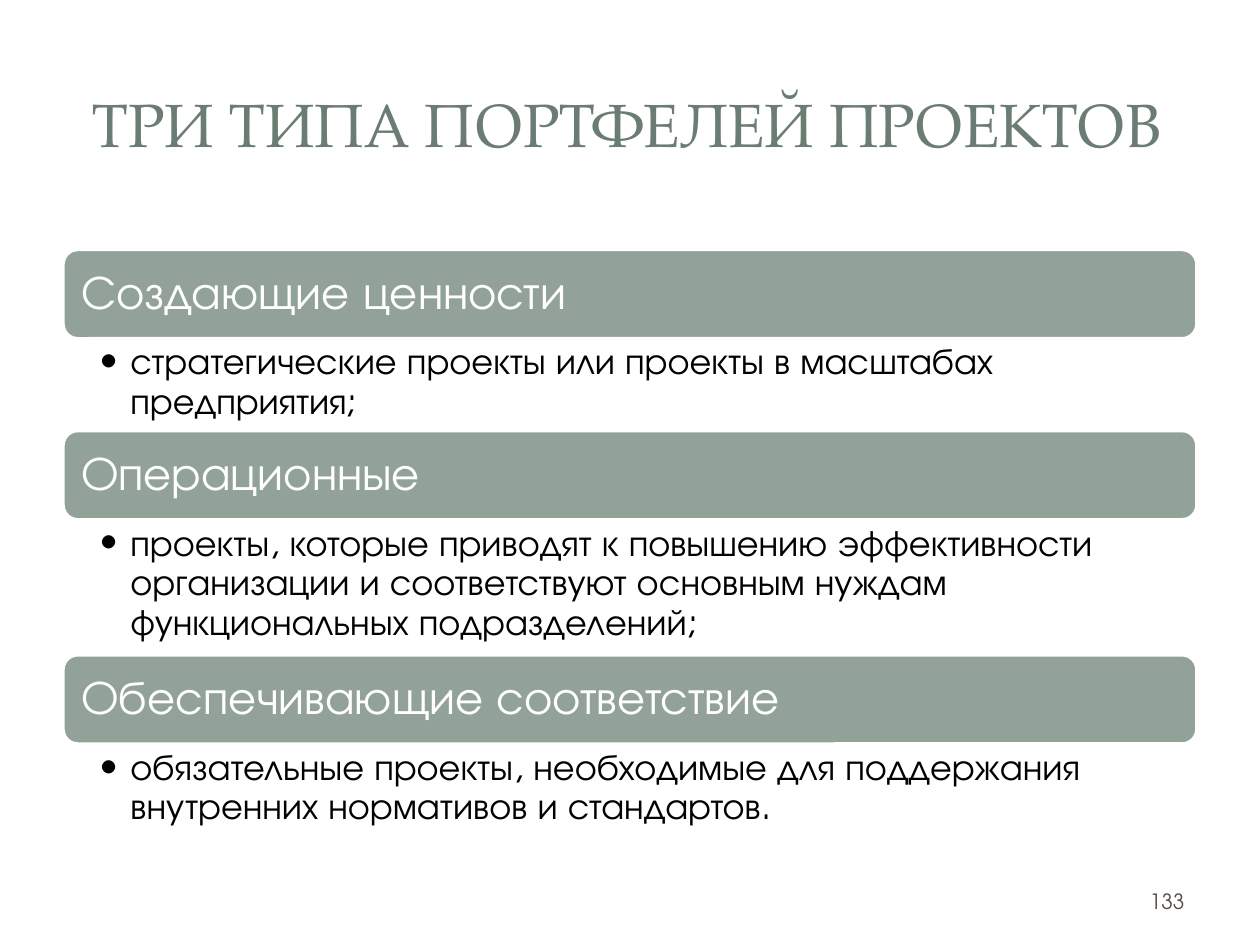
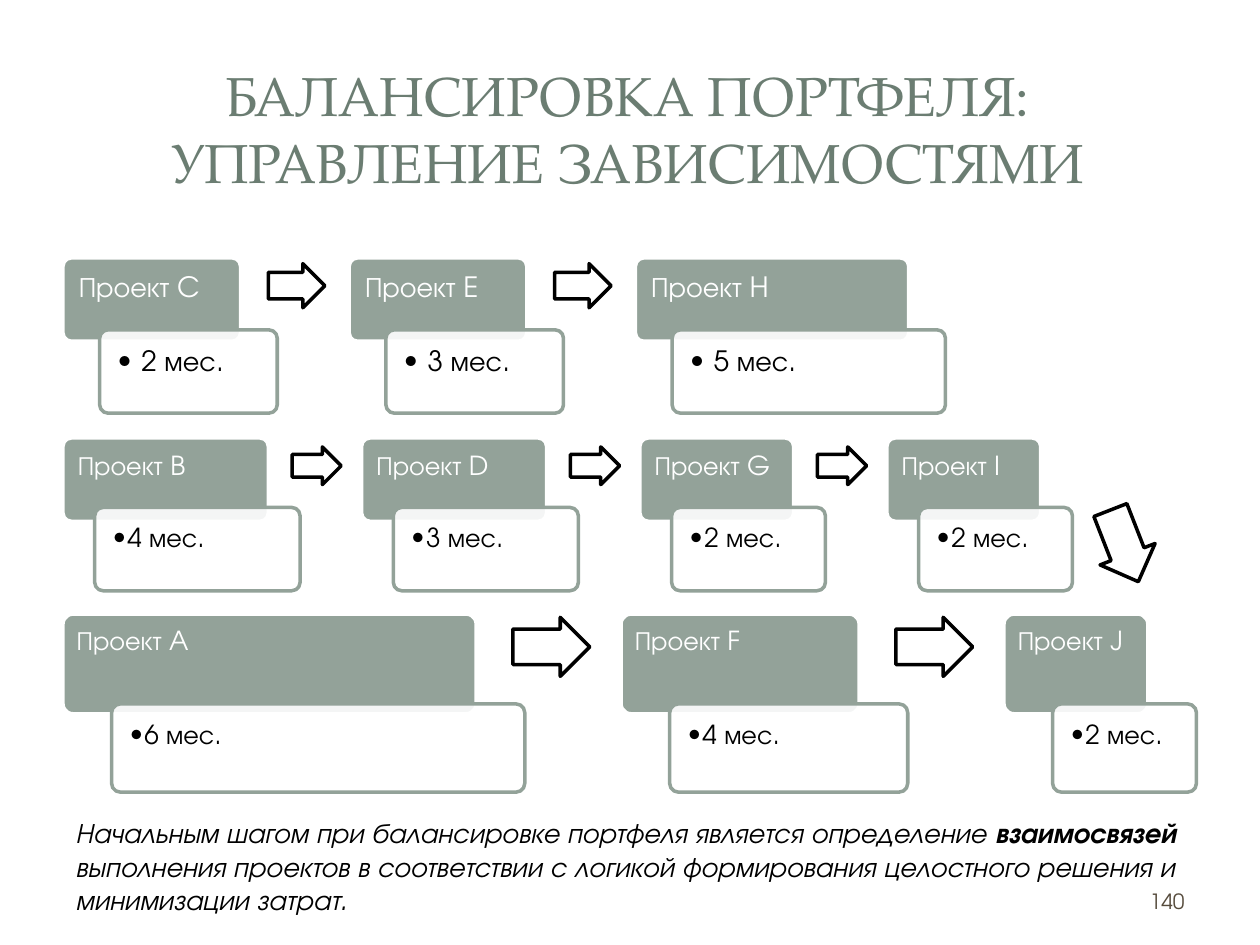
"""Build two slides on project portfolios: portfolio types and dependency balancing."""
import dataclasses

import lxml.etree
import pptx
import pptx.dml.color
import pptx.enum.shapes
import pptx.enum.text
import pptx.oxml.ns
import pptx.util

Cm = pptx.util.Cm
Pt = pptx.util.Pt
Shape = pptx.enum.shapes.MSO_SHAPE
Align = pptx.enum.text.PP_ALIGN
Anchor = pptx.enum.text.MSO_ANCHOR
qn = pptx.oxml.ns.qn


@dataclasses.dataclass(frozen=True)
class Theme:
    title_font: str = "TeX Gyre Pagella"
    body_font: str = "TeX Gyre Adventor"
    title: str = "6B7D72"
    sage: str = "93A299"
    white: str = "FFFFFF"
    black: str = "000000"
    page: str = "564B3C"
    category_size: float = 27
    description_size: float = 21
    conclusion_size: float = 16
    page_size: float = 12
    line: float = 2


THEME = Theme()
LEFT, WIDTH = 1.27, 22.86

BACKDROP = [
    (Shape.ROUNDED_RECTANGLE, (0.25, 0.28, 24.89, 18.52), (0.017,), None),
    (Shape.RECTANGLE, (0.76, 0.76, 23.88, 3.68), (), 83),
    (Shape.RECTANGLE, (1.04, 1.04, 23.29, 3.1), (), None),
]

TYPES = {
    "title": "ТРИ ТИПА ПОРТФЕЛЕЙ ПРОЕКТОВ", "title_size": 35, "title_height": 2.67, "page": "133",
    "top": 5.03, "category_height": 1.8,
    "categories": [
        ("Создающие ценности", "стратегические проекты или проекты в масштабах предприятия;", 1.85),
        ("Операционные", "проекты, которые приводят к повышению эффективности организации и "
         "соответствуют основным нуждам функциональных подразделений;", 2.72),
        ("Обеспечивающие соответствие", "обязательные проекты, необходимые для поддержания "
         "внутренних нормативов и стандартов.", 1.85),
    ],
}

BALANCING = {
    "title": "БАЛАНСИРОВКА ПОРТФЕЛЯ: УПРАВЛЕНИЕ ЗАВИСИМОСТЯМИ",
    "title_size": 31.5, "title_height": 2.88, "page": "140",
    "chains": [
        {"top": 5.2, "name_height": 1.68, "term_height": 1.68, "shift": (0.74, 1.45),
         "gap": 2.19, "arrow_gap": 0.56, "arrow": (1.14, 0.89), "label": 1.12,
         "size": 16, "inset": 0.27, "indent": 0.48,
         "projects": [("Проект C", "2 мес.", 3.58), ("Проект E", "3 мес.", 3.58),
                      ("Проект H", "5 мес.", 5.51)]},
        {"top": 8.83, "name_height": 1.68, "term_height": 1.68, "shift": (0.64, 1.4),
         "gap": 1.88, "arrow_gap": 0.48, "arrow": (0.99, 0.76), "label": 1.12,
         "size": 15, "inset": 0.25, "indent": 0.3,
         "projects": [("Проект B", "4 мес.", 4.14), ("Проект D", "3 мес.", 3.73),
                      ("Проект G", "2 мес.", 3.1), ("Проект I", "2 мес.", 3.1)]},
        {"top": 12.38, "name_height": 2.01, "term_height": 1.78, "shift": (0.98, 1.81),
         "gap": 2.92, "arrow_gap": 0.74, "arrow": (1.55, 1.19), "label": 1.32,
         "size": 15, "inset": 0.22, "indent": 0.3,
         "projects": [("Проект A", "6 мес.", 8.33), ("Проект F", "4 мес.", 4.8),
                      ("Проект J", "2 мес.", 2.9)]},
    ],
    "turn": (21.89, 10.41, 1.55, 1.19, 68.7),
    "conclusion": [
        ("Начальным шагом при балансировке портфеля является определение ", False),
        ("взаимосвязей", True),
        (" выполнения проектов в соответствии с логикой формирования целостного решения "
         "и минимизации затрат.", False),
    ],
}


def rgb(colour):
    return pptx.dml.color.RGBColor.from_string(colour)


def write(holder, runs, size, colour, font=THEME.body_font, align=Align.LEFT, anchor=Anchor.TOP,
          insets=(0.25, 0.13, 0.25, 0.13), spacing=None, indent=None, italic=False):
    frame = holder.text_frame
    frame.word_wrap = True
    frame.vertical_anchor = anchor
    frame.margin_left, frame.margin_top, frame.margin_right, frame.margin_bottom = map(Cm, insets)
    paragraph = frame.paragraphs[0]
    paragraph.alignment = align
    if spacing:
        paragraph.line_spacing = spacing
    if indent:
        properties = paragraph._p.get_or_add_pPr()
        properties.set("marL", str(Cm(indent)))
        properties.set("indent", str(-Cm(indent)))
        lxml.etree.SubElement(properties, qn("a:buFont")).set("typeface", font)
        lxml.etree.SubElement(properties, qn("a:buChar")).set("char", "•")
    for text, bold in runs:
        run = paragraph.add_run()
        run.text = text
        run.font.name = font
        run.font.size = Pt(size)
        run.font.bold = bold
        run.font.italic = italic
        run.font.color.rgb = rgb(colour)


def add_text(slide, box, runs, size, colour, **style):
    write(slide.shapes.add_textbox(*map(Cm, box)), runs, size, colour, **style)


def add_block(slide, kind, box, fill, line=None, adjustments=(), opacity=None):
    block = slide.shapes.add_shape(kind, *map(Cm, box))
    block.shadow.inherit = False
    block.fill.solid()
    block.fill.fore_color.rgb = rgb(fill)
    if line:
        block.line.color.rgb = rgb(line)
        block.line.width = Pt(THEME.line)
    else:
        block.line.fill.background()
    for index, value in enumerate(adjustments):
        block.adjustments[index] = value
    if opacity:
        colour = block._element.spPr.find(qn("a:solidFill"))[0]
        lxml.etree.SubElement(colour, qn("a:alpha")).set("val", str(opacity * 1000))
    return block


def add_arrow(slide, box, rotation=0):
    arrow = add_block(slide, Shape.RIGHT_ARROW, box, THEME.white, THEME.black, (0.6, 0.5))
    arrow.rotation = rotation


def add_slide(deck, content):
    slide = deck.slides.add_slide(deck.slide_layouts[6])
    for kind, box, adjustments, opacity in BACKDROP:
        add_block(slide, kind, box, THEME.white, adjustments=adjustments, opacity=opacity)
    add_text(slide, (1.18, 1.14, 22.94, content["title_height"]), [(content["title"], False)],
             content["title_size"], THEME.title, font=THEME.title_font,
             align=Align.CENTER, anchor=Anchor.MIDDLE)
    add_text(slide, (18.21, 17.65, 5.92, 1.02), [(content["page"], False)],
             THEME.page_size, THEME.page, align=Align.RIGHT, anchor=Anchor.MIDDLE)
    return slide


def add_types(deck, content):
    slide = add_slide(deck, content)
    top, height = content["top"], content["category_height"]
    for category, description, description_height in content["categories"]:
        band = add_block(slide, Shape.ROUNDED_RECTANGLE, (LEFT, top, WIDTH, height),
                         THEME.sage, THEME.white)
        write(band, [(category, False)], THEME.category_size, THEME.white,
              anchor=Anchor.MIDDLE, insets=(0.28,) * 4, spacing=0.9)
        add_text(slide, (LEFT, top + height, WIDTH, description_height), [(description, False)],
                 THEME.description_size, THEME.black, insets=(0.73, 0.09, 0.53, 0.09),
                 spacing=0.9, indent=0.63)
        top += height + description_height


def add_chain(slide, chain):
    left, top = LEFT, chain["top"]
    shift_x, shift_y = chain["shift"]
    arrow_width, arrow_height = chain["arrow"]
    for position, (project, term, width) in enumerate(chain["projects"], 1):
        name = add_block(slide, Shape.ROUNDED_RECTANGLE, (left, top, width, chain["name_height"]),
                         THEME.sage, THEME.white, (0.1,))
        write(name, [(project, False)], chain["size"], THEME.white,
              insets=(chain["inset"],) * 4, spacing=0.9)
        duration = add_block(slide, Shape.ROUNDED_RECTANGLE,
                             (left + shift_x, top + shift_y, width, chain["term_height"]),
                             THEME.white, THEME.sage, (0.1,), opacity=90)
        write(duration, [(term, False)], chain["size"], THEME.black,
              insets=(0.31,) * 4, spacing=0.9, indent=chain["indent"])
        if position < len(chain["projects"]):
            add_arrow(slide, (left + width + chain["arrow_gap"],
                              top + (chain["label"] - arrow_height) / 2,
                              arrow_width, arrow_height))
        left += width + chain["gap"]


def add_balancing(deck, content):
    slide = add_slide(deck, content)
    for chain in content["chains"]:
        add_chain(slide, chain)
    add_text(slide, (LEFT, 16.31, 23.06, 2.31), content["conclusion"],
             THEME.conclusion_size, THEME.black, italic=True)
    *turn_box, rotation = content["turn"]
    add_arrow(slide, turn_box, rotation)


def main():
    deck = pptx.Presentation()
    deck.slide_width, deck.slide_height = Cm(25.4), Cm(19.05)
    add_types(deck, TYPES)
    add_balancing(deck, BALANCING)
    deck.save("out.pptx")


if __name__ == "__main__":
    main()
